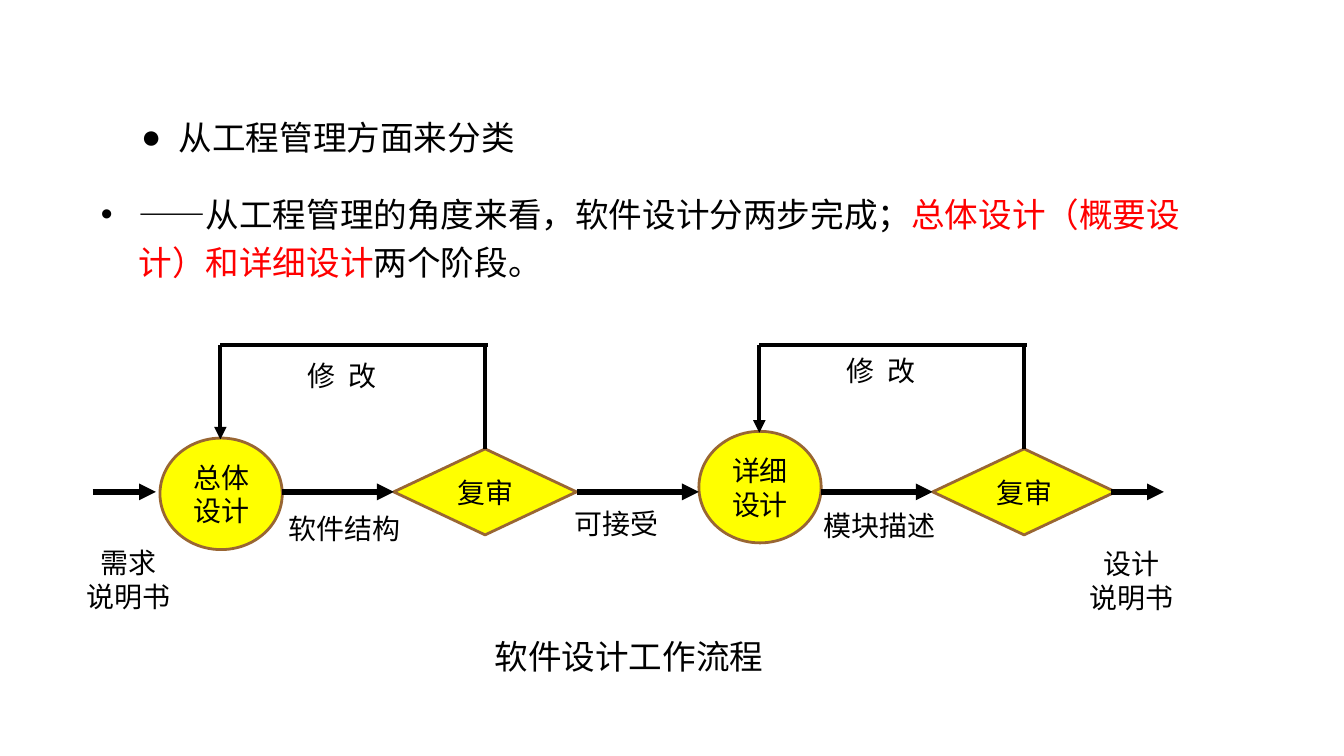
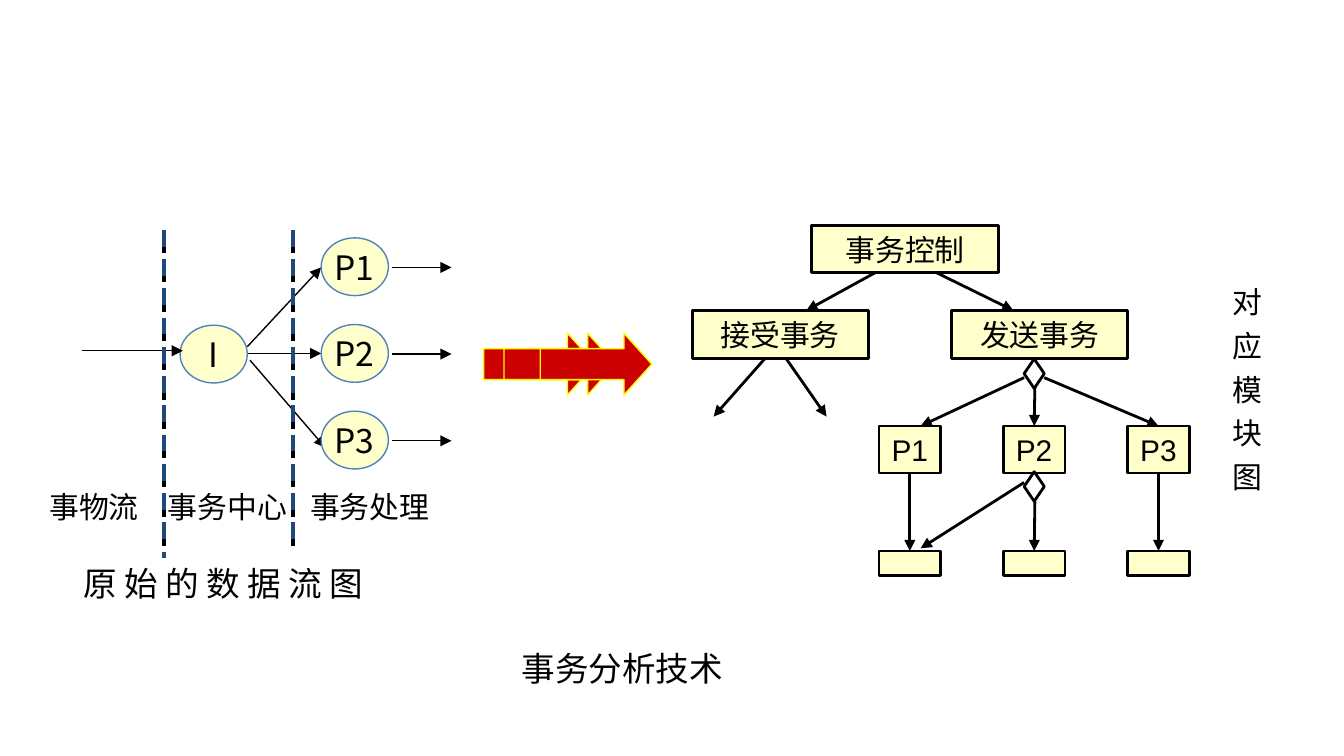
from dataclasses import dataclass
from typing import Any

from lxml import etree
from pptx import Presentation
from pptx.dml.color import RGBColor
from pptx.enum.dml import MSO_LINE
from pptx.enum.shapes import MSO_CONNECTOR, MSO_SHAPE
from pptx.enum.text import MSO_ANCHOR, MSO_AUTO_SIZE, PP_ALIGN
from pptx.oxml.ns import qn
from pptx.util import Inches, Pt

OVAL, RECT = MSO_SHAPE.OVAL, MSO_SHAPE.RECTANGLE
GEM, ARROW = MSO_SHAPE.DIAMOND, MSO_SHAPE.RIGHT_ARROW
LEFT, MID = PP_ALIGN.LEFT, PP_ALIGN.CENTER
TOP, CORE = MSO_ANCHOR.TOP, MSO_ANCHOR.MIDDLE
FIXED, DASH = MSO_AUTO_SIZE.NONE, MSO_LINE.DASH
STRAIGHT = MSO_CONNECTOR.STRAIGHT
UPPER, SIDE, LOWER, FAR = range(4)

BLACK = RGBColor(0x00, 0x00, 0x00)
RED = RGBColor(0xFF, 0x00, 0x00)
YELLOW = RGBColor(0xFF, 0xFF, 0x00)
BROWN = RGBColor(0x99, 0x66, 0x33)
CREAM = RGBColor(0xFF, 0xFF, 0xCC)
BLUE = RGBColor(0x4F, 0x81, 0xBD)
NAVY = RGBColor(0x1F, 0x49, 0x7D)
CRIMSON = RGBColor(0xCC, 0x00, 0x00)
SANS, LATIN = "Noto Sans CJK SC", "Arial"


# Text and line formats
def sub(parent, tag, **attrs):
    return etree.SubElement(parent, qn(tag), attrs)


def bullet(para, mark, indent):
    props = para._p.get_or_add_pPr()
    props.set("marL", str(Inches(indent)))
    props.set("indent", str(-Inches(indent)))
    sub(sub(props, "a:buClr"), "a:srgbClr", val=str(BLACK))
    sub(props, "a:buFont", typeface=LATIN)
    sub(props, "a:buChar", char=mark)


def write(frame, paras, size, align=LEFT, anchor=TOP, pad=(0.1, 0.05),
          wrap=True, face=SANS, pitch=1.0, track=0, mark=None, indent=0):
    """Fill a frame; a paragraph is a string or a list of (text, colour)."""
    across, down = map(Inches, pad)
    look = {"auto_size": FIXED, "word_wrap": wrap, "vertical_anchor": anchor,
            "margin_left": across, "margin_right": across,
            "margin_top": down, "margin_bottom": down}
    for key, value in look.items():
        setattr(frame, key, value)
    for i, parts in enumerate(paras):
        para = frame.add_paragraph() if i else frame.paragraphs[0]
        form = {"alignment": align, "line_spacing": pitch, "space_before": Pt(0)}
        for key, value in form.items():
            setattr(para, key, value)
        if mark:
            bullet(para, mark, indent)
        elif indent:
            para._p.get_or_add_pPr().set("marL", str(Inches(indent)))
        for text, color in [(parts, BLACK)] if isinstance(parts, str) else parts:
            run = para.add_run()
            run.text = text
            run.font.size = Pt(size)
            run.font.color.rgb = color
            run.font.name = face
            sub(run._r.get_or_add_rPr(), "a:ea", typeface=SANS)
            if track:
                run._r.get_or_add_rPr().set("spc", str(track))


# Region with its own origin
@dataclass
class Area:
    slide: Any
    left: float
    top: float

    def spot(self, x, y):
        return Inches(self.left + x), Inches(self.top + y)

    def label(self, x, y, w, h, *paras, size=16, **look):
        box = self.slide.shapes.add_textbox(*self.spot(x, y), Inches(w), Inches(h))
        write(box.text_frame, paras, size, **look)
        return box

    def node(self, kind, x, y, w, h, fill, edge, width, *paras, size=16, **look):
        shape = self.slide.shapes.add_shape(kind, *self.spot(x, y), Inches(w), Inches(h))
        shape.shadow.inherit = False
        if fill is None:
            shape.fill.background()
        else:
            shape.fill.solid()
            shape.fill.fore_color.rgb = fill
        shape.line.color.rgb = edge
        shape.line.width = Pt(width)
        if paras:
            write(shape.text_frame, paras, size, align=MID, anchor=CORE,
                  wrap=False, **look)
        return shape

    def wire(self, start, end, width, head=True, color=BLACK, dash=None,
             src=None, dst=None):
        """Draw a line; src and dst are (shape, site) joints."""
        line = self.slide.shapes.add_connector(
            STRAIGHT, *self.spot(*start), *self.spot(*end))
        line.line.color.rgb = color
        line.line.width = Pt(width)
        if dash:
            line.line.dash_style = dash
        if head:
            sub(line.line._get_or_add_ln(), "a:tailEnd", type="triangle")
        sub(line._element.spPr, "a:effectLst")
        if src:
            line.begin_connect(*src)
        if dst:
            line.end_connect(*dst)


def fill_slot(slot, x, y, w, h, *paras, **look):
    slot.left, slot.top, slot.width, slot.height = map(Inches, (x, y, w, h))
    write(slot.text_frame, paras, 18, **look)


# Slide 1: work flow of software design
def points(slide):
    head, body = slide.placeholders[1], slide.placeholders[2]
    style = {"pad": (0.08, 0.04), "indent": 0.28}
    fill_slot(head, 0.97, 0.68, 5.46, 0.53, "从工程管理方面来分类",
              mark="●", pitch=1.5, **style)
    fill_slot(body, 0.67, 1.34, 8.5, 1.82,
              [("——从工程管理的角度来看，软件设计分两步完成；", BLACK),
               ("总体设计（概要设计）和详细设计", RED),
               ("两个阶段。", BLACK)],
              mark="•", pitch=1.2, **style)


def stage(area, name, result, lift):
    """Place one design step, its review and the loop back."""
    pad = (0.08, 0.04)
    area.node(OVAL, 0, 0.69 - lift, 0.91, 0.83, YELLOW, BROWN, 1.5,
              name, "设计", size=15, pad=pad)
    check = area.node(GEM, 1.74, 0.77, 1.36, 0.64, YELLOW, BROWN, 1.5,
                      "复审", size=15, pad=pad)
    area.wire((0.91, 1.09), (1.74, 1.09), 3, dst=(check, SIDE))
    area.label(0.86 - 0.6 * lift, 1.19 - 0.5 * lift, 1.25, 0.35, result, size=15)
    area.wire((2.42, 0.77), (2.42, 0), 2.25, head=False, src=(check, UPPER))
    area.wire((2.44, 0), (0.45, 0), 2.25, head=False)
    area.wire((0.45, 0), (0.45, 0.7 - lift), 2.25)
    area.label(1.02, 0.06 - 0.8 * lift, 1.29, 0.33, "修 改", size=15,
               pad=pad, track=170)
    return check


def flow(area):
    area.wire((0.26, 1.09), (0.73, 1.09), 3)
    area.label(0, 1.44, 1.06, 0.6, "需求", "说明书", size=15, align=MID)
    steps = [("总体", "软件结构", 0), ("详细", "模块描述", 0.05)]
    checks = [stage(Area(area.slide, area.left + 0.76 + 4.01 * i, area.top), *step)
              for i, step in enumerate(steps)]
    area.wire((3.86, 1.09), (4.77, 1.09), 3, src=(checks[0], FAR))
    area.label(3.75, 1.15, 1.13, 0.35, "可接受", size=15)
    area.wire((7.84, 1.09), (8.23, 1.09), 3)
    area.label(7.46, 1.45, 1.06, 0.6, "设计", "说明书", size=15, align=MID)


# Slide 2: transaction analysis
def stream(area):
    """Place the data flow graph with its two dividers."""
    area.label(0.25, 2.49, 3.08, 0.34, "原 始 的 数 据 流 图", size=18, pitch=0.8)
    for i, tip in enumerate([(2.12, 0.28), (2.12, 0.92), (2.15, 1.62)]):
        area.wire((1.57 + 0.02 * (i == 2), 0.87 + 0.05 * i), tip, 0.75)
    area.node(OVAL, 1.07, 0.71, 0.5, 0.43, CREAM, BLUE, 0.75, "I", size=18)
    for i in range(3):
        y = 0.06 + 0.645 * i
        area.node(OVAL, 2.12, y, 0.5, 0.43, CREAM, BLUE, 0.75, f"P{i + 1}", size=18)
        area.wire((2.65, y + 0.22), (3.09, y + 0.22), 0.75)
    for x, w, name in [(0, 1.24, "事物流"), (0.88, 1.25, "事务中心"),
                       (1.94, 1.31, "事务处理")]:
        area.label(x, 1.88, w, 0.37, name)
    area.wire((0.34, 0.9), (1.09, 0.9), 0.75)
    for color, top, ends in [(BLACK, 0.05, (2.41, 2.41)), (BLUE, 0, (2.33, 2.27)),
                             (NAVY, 0, (2.44, 2.37))]:
        for x, end in zip((0.95, 1.91), ends):
            area.wire((x, top), (x, end), 2.25, head=False, color=color, dash=DASH)


def arrows(area):
    for x in (0, 0.15, 0.42):
        shape = area.node(ARROW, x, 0, 0.83, 0.46, CRIMSON, YELLOW, 0.75)
        shape.adjustments[0], shape.adjustments[1] = 0.5, 0.45


def modules(area):
    """Place the module tree."""
    def box(x, y, w, h, *name):
        return area.node(RECT, x, y, w, h, CREAM, BLACK, 1.5, *name, face=LATIN)

    box(0.89, 0, 1.39, 0.35, "事务控制")
    box(0, 0.63, 1.31, 0.36, "接受事务")
    box(1.93, 0.63, 1.31, 0.36, "发送事务")
    cols = [1.39 + 0.925 * i for i in range(3)]
    parts = [box(x, 1.49, 0.46, 0.35, f"P{i}") for i, x in enumerate(cols, 1)]
    ends = [box(x, 2.42, 0.46, 0.18) for x in cols]
    for y in (0.99, 1.83):
        area.node(GEM, 2.47, y, 0.15, 0.22, None, BLACK, 1.5)

    links = [((1.36, 0.35), (0.85, 0.63)), ((1.82, 0.35), (2.39, 0.63)),
             ((0.54, 0.99), (0.16, 1.42)), ((0.7, 0.99), (1, 1.42)),
             ((2.47, 1.13), (1.7, 1.49)), ((2.47, 1.91), (1.7, 2.4))]
    for start, end in links:
        area.wire(start, end, 1.5)
    one, two, three = parts
    area.wire((2.55, 1.2), (2.55, 1.49), 1.5, dst=(two, UPPER))
    area.wire((2.62, 1.13), (3.47, 1.49), 1.5, dst=(three, UPPER))
    area.wire((2.55, 2.05), (2.55, 2.42), 1.5, dst=(ends[1], UPPER))
    for part, end in ((one, ends[0]), (three, ends[2])):
        area.wire((0, 0), (1, 1), 1.5, src=(part, LOWER), dst=(end, UPPER))

    note = area.label(3.84, -0.09, 0.47, 2.61, "对 应 模 块 图",
                      indent=0.45, pad=(0.05, 0.1), track=180)
    note.text_frame._txBody.bodyPr.set("vert", "eaVert")


def main():
    deck = Presentation()
    deck.slide_width = Inches(10)
    deck.slide_height = deck.slide_width * 9 // 16

    first = deck.slides.add_slide(deck.slide_layouts[3])
    points(first)
    flow(Area(first, 0.43, 2.57))
    fill_slot(first.shapes.title, 3.14, 4.69, 3.08, 0.38, "软件设计工作流程",
              align=MID, pad=(0.08, 0.04))

    second = deck.slides.add_slide(deck.slide_layouts[5])
    arrows(Area(second, 3.6, 2.48))
    stream(Area(second, 0.27, 1.71))
    modules(Area(second, 5.15, 1.68))
    fill_slot(second.shapes.title, 3.5, 4.77, 2.83, 0.4, "事务分析技术", indent=0.28)

    deck.save("out.pptx")


if __name__ == "__main__":
    main()
